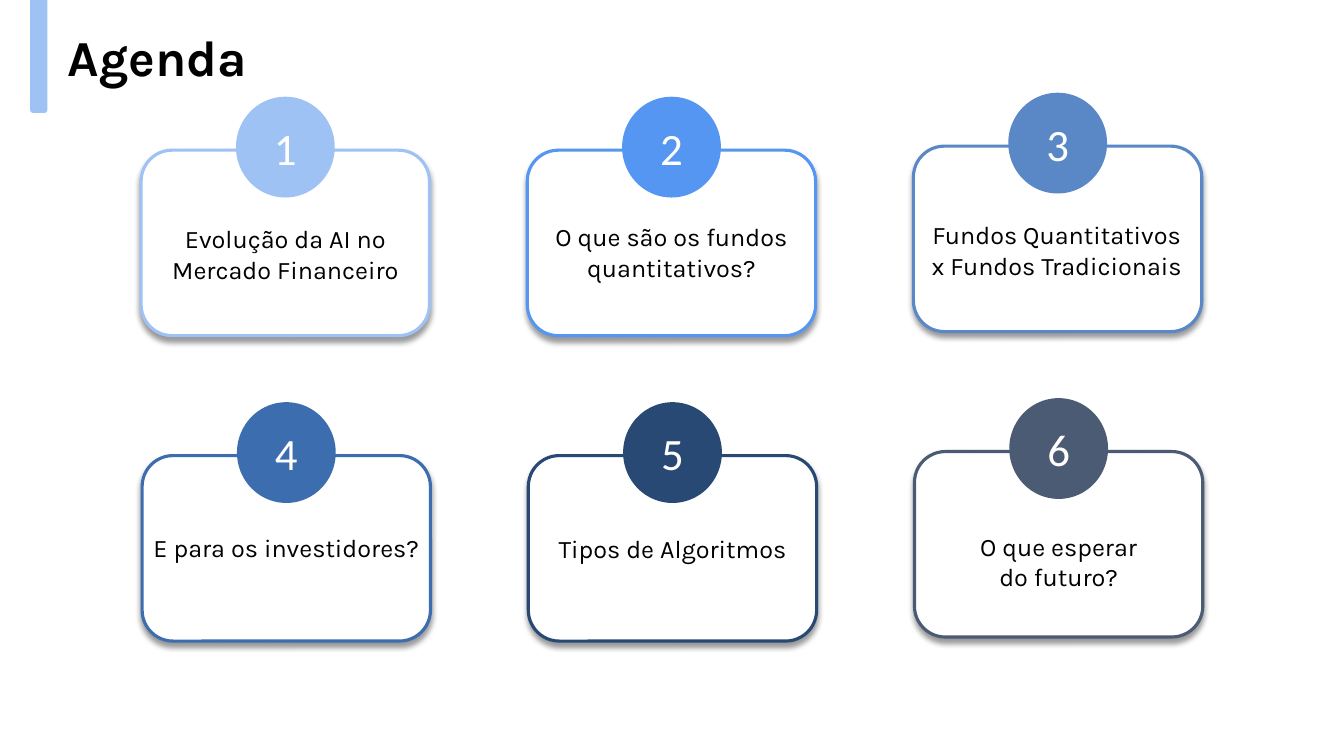
from lxml.etree import SubElement
from pptx import Presentation
from pptx.dml.color import RGBColor
from pptx.enum.shapes import MSO_SHAPE
from pptx.enum.text import MSO_ANCHOR, MSO_AUTO_SIZE, PP_ALIGN
from pptx.oxml.ns import qn
from pptx.util import Pt

PX = 9144
TITLE = {"name": "Karla", "size": Pt(36), "bold": True}
LABEL = {"name": "Karla", "size": Pt(18), "bold": False}
NUMBER = {"name": "Calibri", "size": Pt(32), "bold": False}
CARDS = [
    ("9FC2F4", ["Evolução da AI no Mercado Financeiro"], -16, 217, 318, 71),
    ("5596F2", ["O que são os fundos quantitativos?"], -16, 215, 318, 71),
    ("5A88C6", ["Fundos Quantitativos x Fundos Tradicionais"], 1, 213, 282, 71),
    ("3C6DAE", ["E para os investidores?"], -16, 523, 318, 40),
    ("294975", ["Tipos de Algoritmos"], -16, 524, 318, 40),
    ("4B5B73", ["O que esperar", "do futuro?"], -16, 522, 318, 71),
]


def rgb(value):
    return RGBColor.from_string(value)


def px(*values):
    return [v * PX for v in values]


class AgendaSlide:
    """Draws the agenda elements on one slide, with lengths in px."""

    def __init__(self, prs):
        self.s = prs.slides.add_slide(prs.slide_layouts[5])

    def set_text(self, sp, lines, style, color, align, anchor):
        tf = sp.text_frame
        frame = {"word_wrap": True, "vertical_anchor": anchor}
        for key, value in frame.items():
            setattr(tf, key, value)
        for i, line in enumerate(lines):
            p = tf.add_paragraph() if i else tf.paragraphs[0]
            p.alignment = align
            r = p.add_run()
            r.text = line
            for key, value in style.items():
                setattr(r.font, key, value)
            r.font.color.rgb = rgb(color)

    def title(self, text, x, y, w, h):
        sp = self.s.shapes.title
        sp.left, sp.top, sp.width, sp.height = px(x, y, w, h)
        self.set_text(sp, [text], TITLE, "000000", PP_ALIGN.LEFT, MSO_ANCHOR.TOP)
        sp.text_frame.auto_size = MSO_AUTO_SIZE.SHAPE_TO_FIT_TEXT

    def shape(self, shapes, kind, x, y, w, h, fill, line=None):
        sp = shapes.add_shape(kind, *px(x, y, w, h))
        sp.shadow.inherit = False
        sp.fill.solid()
        sp.fill.fore_color.rgb = rgb(fill)
        if line:
            sp.line.color.rgb = rgb(line)
            sp.line.width = Pt(2.25)
        else:
            sp.line.fill.background()
        return sp

    def label(self, shapes, lines, x, y, w, h):
        sp = shapes.add_textbox(*px(x, y, w, h))
        self.set_text(sp, lines, LABEL, "000000", PP_ALIGN.CENTER, MSO_ANCHOR.TOP)
        sp.text_frame.auto_size = MSO_AUTO_SIZE.SHAPE_TO_FIT_TEXT

    def drop_shadow(self, sp):
        effects = sp._element.spPr.find(qn("a:effectLst"))
        shadow = SubElement(effects, qn("a:outerShdw"), blurRad=str(Pt(4)),
                            dist=str(Pt(3)), dir="5400000", rotWithShape="0")
        color = SubElement(shadow, qn("a:srgbClr"), val="000000")
        SubElement(color, qn("a:alpha"), val="40000")

    def card(self, number, x, y, color, lines, dx, label_y, w, h):
        shapes = self.s.shapes.add_group_shape().shapes
        box = self.shape(shapes, MSO_SHAPE.ROUNDED_RECTANGLE,
                         x, y, 286, 184, "FFFFFF", color)
        self.drop_shadow(box)
        badge = self.shape(shapes, MSO_SHAPE.OVAL, x + 94, y - 53, 98, 100, color)
        self.set_text(badge, [str(number)], NUMBER, "FFFFFF",
                      PP_ALIGN.CENTER, MSO_ANCHOR.MIDDLE)
        self.label(shapes, lines, x + dx, label_y, w, h)

    def bar(self, x, y, w, h, color):
        sp = self.shape(self.s.shapes, MSO_SHAPE.ROUNDED_RECTANGLE, x, y, w, h, color)
        sp.rotation = 270


def main():
    prs = Presentation()
    prs.slide_width, prs.slide_height = px(1333, 750)
    agenda = AgendaSlide(prs)
    agenda.title("Agenda", 57, 21, 548, 71)
    for i, card in enumerate(CARDS):
        row, col = divmod(i, 3)
        x = 140 + 383 * col + row
        y = 149 + 303 * row - (4 if col == 2 else 0)
        agenda.card(i + 1, x, y, *card)
    agenda.bar(-73, -8, 223, 17, "9FC2F4")
    prs.save("out.pptx")


if __name__ == "__main__":
    main()
